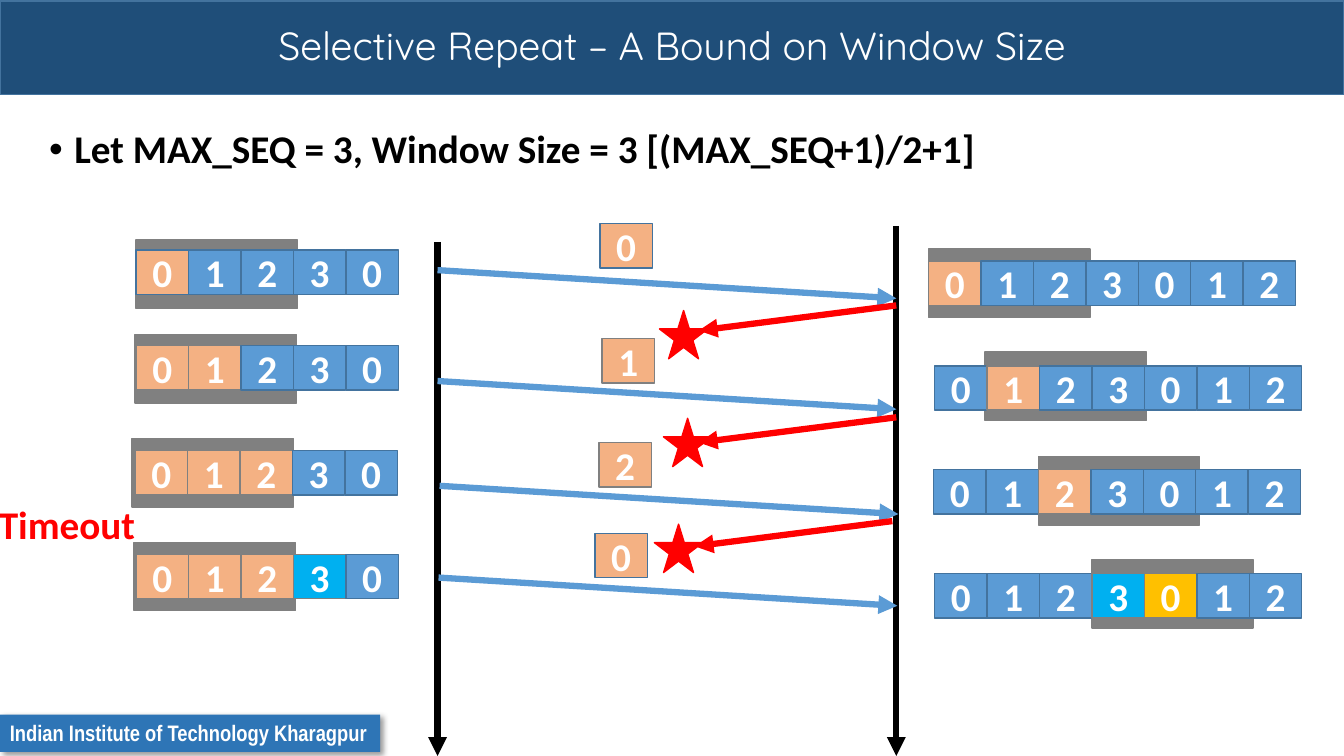
"""Build the slide on the window size bound of Selective Repeat."""
from lxml.etree import SubElement as Sub
from pptx import Presentation
from pptx.dml.color import RGBColor as Rgb
from pptx.enum.shapes import MSO_CONNECTOR as Conn, MSO_SHAPE as Form
from pptx.enum.text import MSO_ANCHOR as Anchor, PP_ALIGN as Align
from pptx.oxml.ns import qn
from pptx.util import Inches, Pt

TITLE = "Selective Repeat – A Bound on Window Size"
POINT = "Let MAX_SEQ = 3, Window Size = 3 [(MAX_SEQ+1)/2+1]"
SCHOOL = "Indian Institute of Technology Kharagpur"
ALARM = "Timeout"

THEME = {
    "bar": "1F4E79", "foot": "2E75B6", "edge": "43739E", "gray": "808080",
    "blue": "5B9BD5", "peach": "F4B183", "cyan": "00B0F0", "gold": "FFC000",
    "red": "FF0000", "black": "000000", "white": "FFFFFF",
    "body": {"name": "Calibri", "size": Pt(28), "bold": True},
    "head": {"name": "Quicksand", "size": Pt(28), "bold": False},
    "small": {"name": "Arial Narrow", "size": Pt(16), "bold": True},
    "thick": 4.5, "thin": 1,
}
TINTS = {
    "b": ("blue", "edge"), "p": ("peach", "gray"), "e": ("peach", "edge"),
    "c": ("cyan", "gray"), "g": ("gold", "gray"),
}
CELL_W, CELL_H, PITCH = 0.52, 0.44, 0.52
PANE_W, PANE_H = 1.6, 0.68
STAR = 0.48

ROWS = [
    ("01230", "ebbbb", (1.35, 2.48), (1.35, 2.38)),
    ("01230", "ppbbb", (1.35, 3.43), (1.34, 3.32)),
    ("01230", "pppbb", (1.34, 4.47), (1.31, 4.35)),
    ("01230", "pppcb", (1.35, 5.5), (1.33, 5.38)),
    ("0123012", "pbbbbbb", (9.21, 2.59), (9.21, 2.47)),
    ("0123012", "bpbbbbb", (9.27, 3.63), (9.77, 3.49)),
    ("0123012", "bbpbbbb", (9.26, 4.66), (10.3, 4.53)),
    ("0123012", "bbbcgbb", (9.27, 5.69), (10.83, 5.55)),
]
FRAMES = [
    ("0", "e", (5.95, 2.22)), ("1", "p", (5.97, 3.36)),
    ("2", "p", (5.94, 4.39)), ("0", "e", (5.9, 5.29)),
]
AXES = [(4.34, 2.4), (8.89, 2.24)]
SENDS = [(4.34, 2.68), (4.34, 3.78), (4.36, 4.82), (4.35, 5.73)]
ACKS = [(8.89, 3.03), (8.89, 4.14), (8.85, 5.17)]
STARS = [(6.54, 3.08), (6.58, 4.15), (6.49, 5.2)]
SEND_STEP, ACK_STEP, FLOOR = (4.55, 0.28), (-1.96, 0.25), 7.5


def tone(name):
    return Rgb.from_string(THEME[name])


def write(shape, text, font, color, align=Align.LEFT, anchor=Anchor.TOP, wrap=True):
    frame = shape.text_frame
    frame.word_wrap, frame.vertical_anchor = wrap, anchor
    para = frame.paragraphs[0]
    para.alignment = align
    run = para.add_run()
    run.text = text
    for key, value in THEME[font].items():
        setattr(run.font, key, value)
    run.font.color.rgb = tone(color)
    return para


def block(slide, form, spot, size, fill, edge=None):
    shape = slide.shapes.add_shape(form, *map(Inches, (*spot, *size)))
    shape.shadow.inherit = False
    shape.fill.solid()
    shape.fill.fore_color.rgb = tone(fill)
    if edge:
        shape.line.color.rgb = tone(edge)
        shape.line.width = Pt(THEME["thin"])
    else:
        shape.line.fill.background()
    return shape


def cell(slide, digit, code, spot):
    shape = block(slide, Form.RECTANGLE, spot, (CELL_W, CELL_H), *TINTS[code])
    write(shape, digit, "body", "white", Align.CENTER, Anchor.MIDDLE)


def arrow(slide, start, end, color):
    line = slide.shapes.add_connector(Conn.STRAIGHT, *map(Inches, (*start, *end)))
    line.line.color.rgb = tone(color)
    line.line.width = Pt(THEME["thick"])
    props = line.element.spPr
    Sub(props.find(qn("a:ln")), qn("a:tailEnd"), type="triangle")
    Sub(props, qn("a:effectLst"))


def shade(shape):
    glow = Sub(shape.element.spPr.find(qn("a:effectLst")), qn("a:outerShdw"),
               blurRad=str(Pt(4)), dist=str(Pt(3)), dir="2700000", algn="tl")
    color = Sub(glow, qn("a:srgbClr"), val=THEME["black"])
    Sub(color, qn("a:alpha"), val="40000")


def label(slide, spot, size):
    return slide.shapes.add_textbox(*map(Inches, (*spot, *size)))


def shift(spot, step):
    return tuple(a + b for a, b in zip(spot, step))


def main():
    deck = Presentation()
    deck.slide_width, deck.slide_height = Inches(13.33), Inches(7.5)
    slide = deck.slides.add_slide(deck.slide_layouts[6])

    bar = block(slide, Form.RECTANGLE, (0, 0.01), (13.33, 0.93), "bar", "edge")
    para = write(bar, TITLE, "head", "white", Align.CENTER, Anchor.MIDDLE)
    para.line_spacing = 0.9
    foot = block(slide, Form.RECTANGLE, (0, 7.09), (3.77, 0.37), "foot")
    shade(foot)
    write(foot, SCHOOL, "small", "white", wrap=False)

    point = label(slide, (0.39, 1.24), (12.63, 0.69))
    para = write(point, POINT, "body", "black")
    para.line_spacing = 0.9
    props = para._p.get_or_add_pPr()
    for key, value in {"marL": 0.25, "indent": -0.25}.items():
        props.set(key, str(Inches(value)))
    Sub(props, qn("a:buFont"), typeface="Arial")
    Sub(props, qn("a:buChar"), char="•")

    for digits, codes, spot, pane in ROWS:
        block(slide, Form.RECTANGLE, pane, (PANE_W, PANE_H), "gray", "gray")
        for i, (digit, code) in enumerate(zip(digits, codes)):
            cell(slide, digit, code, shift(spot, (i * PITCH, 0)))

    for x, y in AXES:
        arrow(slide, (x, y), (x, FLOOR), "black")
    for spots, step, color in ((SENDS, SEND_STEP, "blue"), (ACKS, ACK_STEP, "red")):
        for spot in spots:
            arrow(slide, spot, shift(spot, step), color)
    for spot in STARS:
        block(slide, Form.STAR_5_POINT, spot, (STAR, STAR), "red", "red")
    for frame in FRAMES:
        cell(slide, *frame)
    write(label(slide, (-0.11, 4.91), (1.57, 0.57)), ALARM, "body", "red", wrap=False)

    deck.save("out.pptx")


if __name__ == "__main__":
    main()
